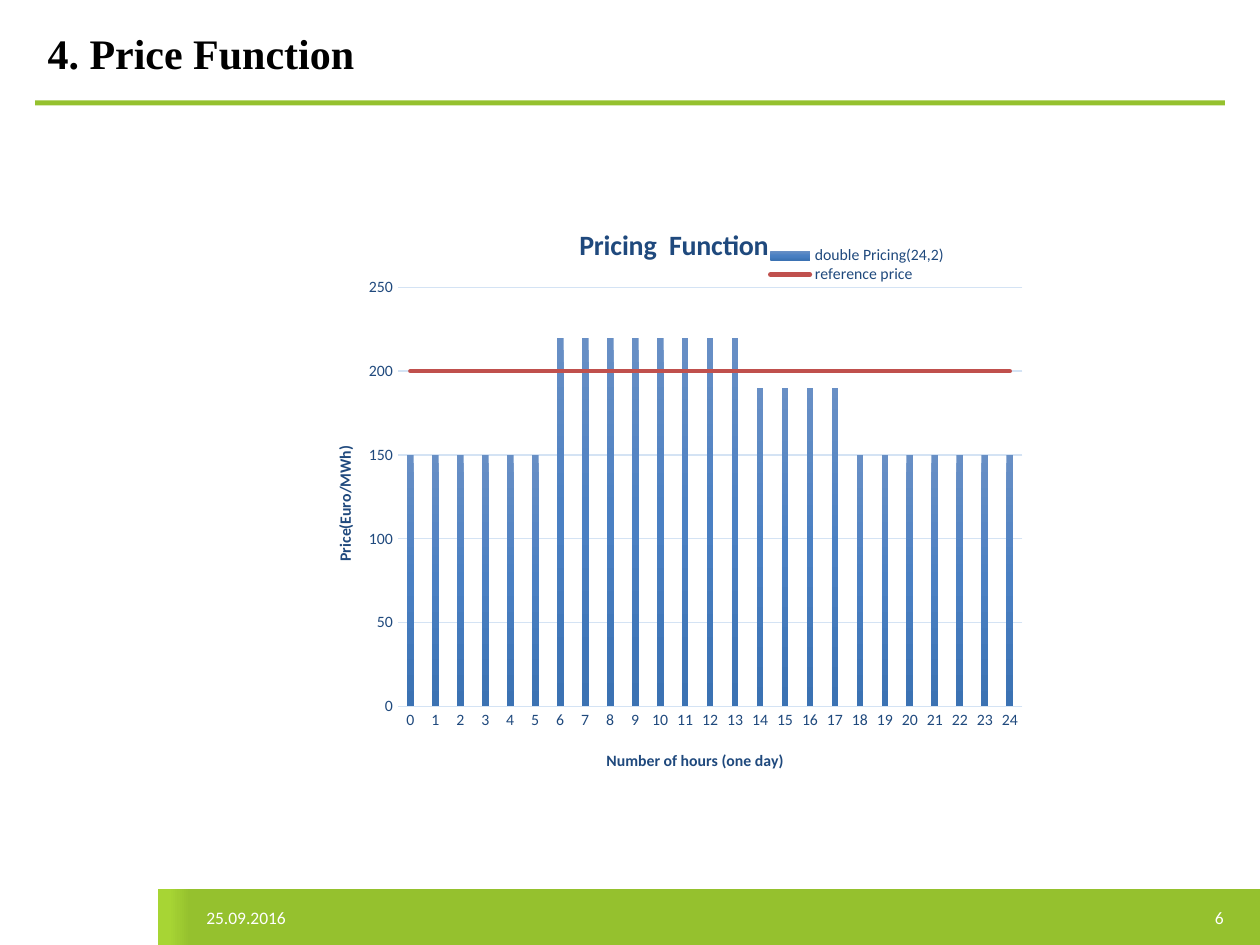
from pptx import Presentation
from pptx.chart.data import CategoryChartData
from pptx.dml.color import RGBColor
from pptx.enum.chart import XL_CHART_TYPE, XL_LEGEND_POSITION, XL_MARKER_STYLE, XL_TICK_MARK
from pptx.enum.shapes import MSO_SHAPE
from pptx.enum.text import MSO_ANCHOR, PP_ALIGN
from pptx.oxml import parse_xml
from pptx.oxml.ns import nsdecls
from pptx.util import Pt

GREEN = RGBColor(0x95, 0xC1, 0x2E)
LIME = RGBColor(0xA7, 0xD5, 0x34)
WHITE = RGBColor(0xFF, 0xFF, 0xFF)
BLACK = RGBColor(0x00, 0x00, 0x00)
NAVY = RGBColor(0x1F, 0x49, 0x7D)
PALE_BLUE = RGBColor(0xD4, 0xE3, 0xF4)
RED = RGBColor(0xC0, 0x50, 0x4D)
BAR_STOPS = [(0, RGBColor(0x68, 0x8F, 0xC5)), (50, RGBColor(0x4A, 0x80, 0xC3)),
             (100, RGBColor(0x3B, 0x72, 0xB3))]
FOOTER_STOPS = [(1, LIME), (3, GREEN), (100, GREEN)]

HOURS = [str(hour) for hour in range(25)]
PRICES = [150] * 6 + [220] * 8 + [190] * 4 + [150] * 7
REFERENCE = [200] * len(HOURS)


def format_font(font, size, color, bold=False, name="Calibri"):
    font.size, font.bold, font.name = Pt(size), bold, name
    font.color.rgb = color


def write_text(frame, text, align=None, **font_format):
    paragraph = frame.paragraphs[0]
    run = paragraph.add_run()
    run.text = text
    if align is not None:
        paragraph.alignment = align
    format_font(run.font, **font_format)


def set_gradient(fill, owner, stops, angle):
    """Give fill, which lies inside the XML element owner, any number of stops."""
    fill.gradient()
    gradient = owner.xpath(".//a:gradFill")[0]
    items = "".join(f'<a:gs pos="{pos * 1000}"><a:srgbClr val="{color}"/></a:gs>'
                    for pos, color in stops)
    content = parse_xml(f'<a:gradFill {nsdecls("a")} rotWithShape="1"><a:gsLst>{items}</a:gsLst>'
                        f'<a:lin ang="{angle * 60000}" scaled="0"/></a:gradFill>')
    gradient.getparent().replace(gradient, content)


def place(element, index, **fractions):
    """Fix a chart part at fractions of the chart; its layout goes in at index."""
    for old in element.xpath("./c:layout"):
        element.remove(old)
    target = '<c:layoutTarget val="inner"/>' if index == 0 else ""
    modes = '<c:xMode val="edge"/><c:yMode val="edge"/>'
    values = "".join(f'<c:{key} val="{value}"/>' for key, value in fractions.items())
    element.insert(index, parse_xml(
        f'<c:layout {nsdecls("c")}><c:manualLayout>{target}{modes}{values}'
        '</c:manualLayout></c:layout>'))


def move_last_series_to_line(chart):
    bars = chart.element.xpath(".//c:barChart")[0]
    lines = parse_xml(f'<c:lineChart {nsdecls("c")}><c:grouping val="stacked"/>'
                      '<c:varyColors val="0"/><c:marker val="1"/></c:lineChart>')
    series = bars.xpath("./c:ser")[-1]
    for flag in series.xpath("./c:invertIfNegative"):
        series.remove(flag)
    lines.insert(2, series)
    for axis_id in bars.xpath("./c:axId"):
        lines.append(parse_xml(f'<c:axId {nsdecls("c")} val="{axis_id.get("val")}"/>'))
    bars.addnext(lines)


class SlideBuilder:
    def __init__(self, slide):
        self.slide = slide

    def title(self, text, left, top, width, height):
        title = self.slide.shapes.title
        title.left, title.top, title.width, title.height = map(Pt, (left, top, width, height))
        frame = title.text_frame
        frame.vertical_anchor = MSO_ANCHOR.TOP
        frame.margin_top = Pt(6)
        write_text(frame, text, PP_ALIGN.LEFT, size=24, color=BLACK, bold=True,
                   name="Times New Roman")

    def bar(self, left, top, width, height, stops=None):
        bar = self.slide.shapes.add_shape(
            MSO_SHAPE.RECTANGLE, Pt(left), Pt(top), Pt(width), Pt(height))
        bar.shadow.inherit = False
        bar.line.fill.background()
        if stops:
            set_gradient(bar.fill, bar.element, stops, angle=0)
        else:
            bar.fill.solid()
            bar.fill.fore_color.rgb = GREEN

    def footer_text(self, text, left, width, align, margin_right):
        box = self.slide.shapes.add_textbox(Pt(left), Pt(512), Pt(width), Pt(25))
        frame = box.text_frame
        frame.word_wrap = True
        frame.vertical_anchor = MSO_ANCHOR.MIDDLE
        frame.margin_right = Pt(margin_right)
        write_text(frame, text, align, size=10, color=WHITE)

    def price_chart(self, left, top, width, height):
        data = CategoryChartData()
        data.categories = HOURS
        data.add_series("double Pricing(24,2)", PRICES)
        data.add_series("reference price", REFERENCE)
        chart = self.slide.shapes.add_chart(
            XL_CHART_TYPE.COLUMN_CLUSTERED, Pt(left), Pt(top), Pt(width), Pt(height), data).chart
        format_font(chart.font, size=10, color=BLACK)
        move_last_series_to_line(chart)
        self.style_series(chart)

        hours, prices = chart.category_axis, chart.value_axis
        hours.format.line.color.rgb = PALE_BLUE
        hours.format.line.width = Pt(0.75)
        prices.format.line.fill.background()
        prices.minimum_scale, prices.maximum_scale, prices.major_unit = 0, 250, 50
        grid = prices.major_gridlines.format.line
        grid.color.rgb, grid.width = PALE_BLUE, Pt(0.75)
        for axis in (hours, prices):
            axis.major_tick_mark = axis.minor_tick_mark = XL_TICK_MARK.NONE
            format_font(axis.tick_labels.font, size=9, color=NAVY)

        chart.has_legend = True
        chart.legend.position = XL_LEGEND_POSITION.BOTTOM
        chart.legend.include_in_layout = False
        format_font(chart.legend.font, size=9, color=NAVY)

        for owner, text, size, x, y in (
                (chart.chart_title, "Pricing  Function", 16, 0.37, 0.04),
                (hours.axis_title, "Number of hours (one day)", 9, 0.41, 0.87),
                (prices.axis_title, "Price(Euro/MWh)", 9, 0.04, 0.39)):
            write_text(owner.text_frame, text, size=size, color=NAVY, bold=True)
            place(owner.element, 1, x=x, y=y)
        price_body = prices.axis_title.element.xpath(".//a:bodyPr")[0]
        price_body.set("rot", "-5400000")
        price_body.set("vert", "horz")
        place(chart.element.xpath(".//c:plotArea")[0], 0, x=0.13, y=0.145, w=0.85, h=0.66)
        place(chart.element.xpath(".//c:legend")[0], 1, x=0.63, y=0.08, w=0.25, h=0.06)

    def style_series(self, chart):
        columns, lines = chart.plots
        columns.vary_by_categories = False
        columns.gap_width, columns.overlap = 269, -27
        set_gradient(columns.series[0].format.fill, chart.element.xpath(".//c:barChart")[0],
                     BAR_STOPS, angle=90)
        reference = lines.series[0]
        reference.smooth = False
        reference.marker.style = XL_MARKER_STYLE.NONE
        reference.format.line.color.rgb = RED
        reference.format.line.width = Pt(2.5)
        chart.element.xpath(".//c:lineChart/c:ser/c:spPr/a:ln")[0].set("cap", "rnd")


def main():
    presentation = Presentation()
    presentation.slide_width, presentation.slide_height = Pt(720), Pt(540)
    builder = SlideBuilder(presentation.slides.add_slide(presentation.slide_layouts[5]))
    builder.bar(90, 508, 630, 32, FOOTER_STOPS)
    builder.bar(20, 57.4, 680, 2.8)
    builder.title("4. Price Function", 20, 9.4, 578, 67.6)
    builder.footer_text("25.09.2016", 110.8, 68, PP_ALIGN.LEFT, 7.2)
    builder.footer_text("6", 649.4, 49.8, PP_ALIGN.RIGHT, 0)
    builder.price_chart(172.8, 111.6, 419.8, 362.9)
    presentation.save("out.pptx")


if __name__ == "__main__":
    main()
